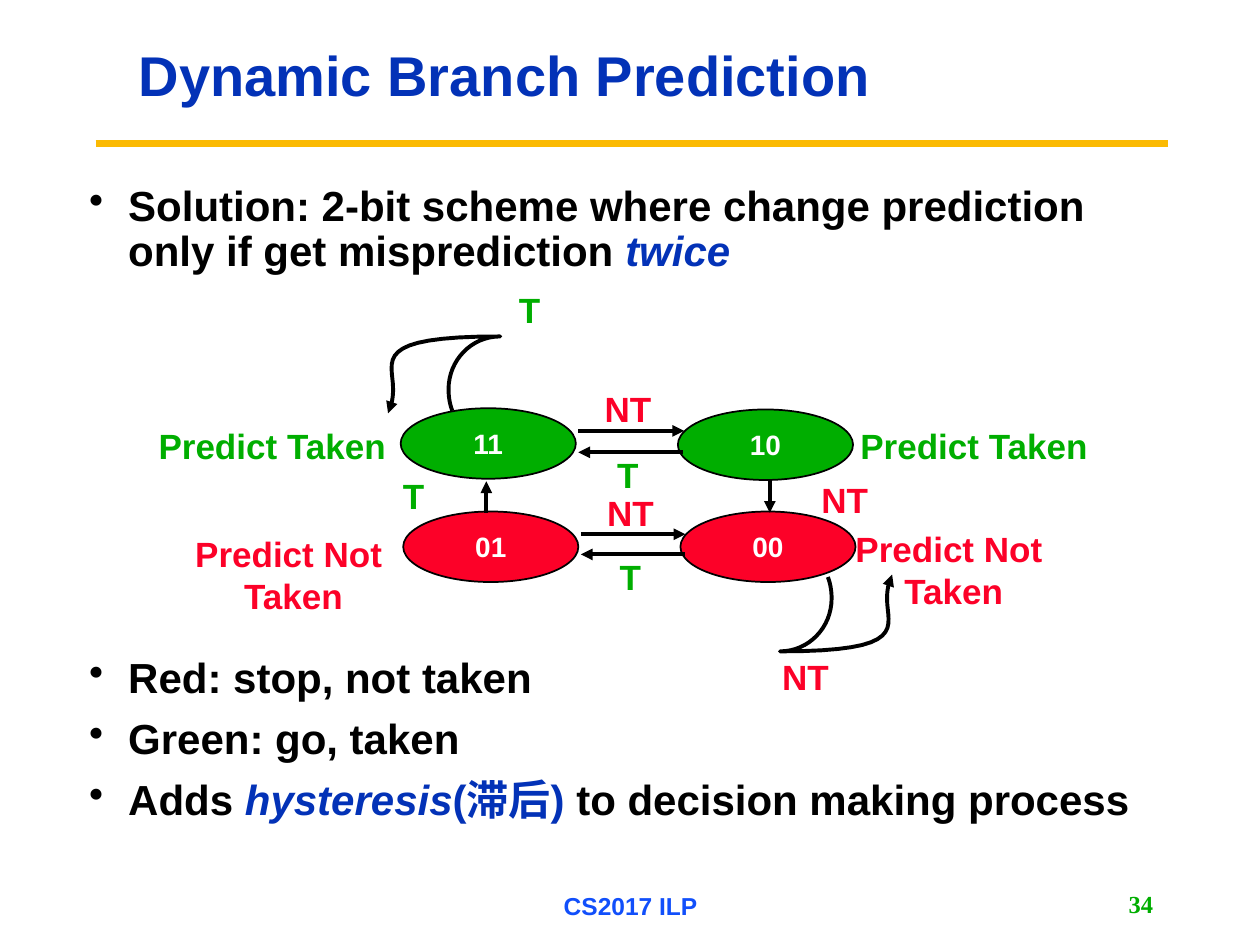
from lxml import etree
from pptx import Presentation, util as u
from pptx.dml.color import RGBColor
from pptx.enum import shapes, text
from pptx.oxml.ns import qn

BLUE = RGBColor(0x03, 0x32, 0xB7)
FOOTER_BLUE = RGBColor(0x11, 0x4F, 0xFB)
GREEN = RGBColor(0x00, 0xAE, 0x00)
RED = RGBColor(0xFC, 0x01, 0x28)
GOLD = RGBColor(0xFB, 0xBA, 0x03)
BLACK = RGBColor(0, 0, 0)
WHITE = RGBColor(0xFF, 0xFF, 0xFF)
LEFT, CENTER, RIGHT = text.PP_ALIGN.LEFT, text.PP_ALIGN.CENTER, text.PP_ALIGN.RIGHT
MIDDLE = text.MSO_ANCHOR.MIDDLE

presentation = Presentation()
presentation.slide_width, presentation.slide_height = u.Inches(10), u.Inches(7.5)
CELL = presentation.slide_width // 100
slide = presentation.slides.add_slide(presentation.slide_layouts[5])


def cells(*values):
    return [round(value * CELL) for value in values]


def write(shape, lines, size, color, align, font="Arial"):
    shape.text_frame.text = "\n".join(lines)
    for paragraph in shape.text_frame.paragraphs:
        paragraph.alignment = align
        paragraph.font.size = u.Pt(size)
        paragraph.font.name = font
        paragraph.font.bold = True
        paragraph.font.color.rgb = color


title = slide.shapes.title
title.left, title.top, title.width, title.height = cells(10, 0, 78.3, 12.5)
write(title, ["Dynamic Branch Prediction"], 32, BLUE, LEFT)
title.text_frame.vertical_anchor = MIDDLE
title.text_frame.paragraphs[0].line_spacing = 0.9

body = slide.shapes.add_textbox(*cells(6.1, 14.2, 86.4, 52.5))
body.text_frame.word_wrap = True
bullets = [
    (0, [("Solution: 2-bit scheme where change prediction only if get misprediction ", BLACK, False),
         ("twice", BLUE, True)]),
    (218, [("Red: stop, not taken", BLACK, False)]),
    (9, [("Green: go, taken", BLACK, False)]),
    (9, [("Adds ", BLACK, False), ("hysteresis", BLUE, True), ("(滞后)", BLUE, False),
         (" to decision making process", BLACK, False)]),
]
for index, (space, runs) in enumerate(bullets):
    paragraph = body.text_frame.add_paragraph() if index else body.text_frame.paragraphs[0]
    paragraph.line_spacing = 0.9
    paragraph.space_before = u.Pt(space)
    properties = paragraph._p.get_or_add_pPr()
    properties.set("marL", str(cells(3.1)[0]))
    properties.set("indent", str(cells(-3.1)[0]))
    etree.SubElement(properties, qn("a:buChar"), char="•")
    paragraph.font.size = u.Pt(24)
    paragraph.font.name = "Arial"
    paragraph.font.bold = True
    for words, color, italic in runs:
        run = paragraph.add_run()
        run.text = words
        run.font.color.rgb = color
        run.font.italic = italic

for place, words, color, align, font in [
    ((34.2, 70.3, 31.7, 3.1), "CS2017 ILP", FOOTER_BLUE, CENTER, "Arial"),
    ((71.7, 70.1, 20.8, 3.2), "34", GREEN, RIGHT, "Times New Roman"),
]:
    footer = slide.shapes.add_textbox(*cells(*place))
    footer.text_frame.vertical_anchor = MIDDLE
    footer.text_frame.word_wrap = True
    write(footer, [words], 14, color, align, font)

for left, top, width, lines, color in [
    (40.2, 22.4, 3.7, ["T"], GREEN),
    (31, 37.2, 3.7, ["T"], GREEN),
    (48, 35.5, 3.7, ["T"], GREEN),
    (48.2, 43.6, 3.7, ["T"], GREEN),
    (64.2, 37.5, 5.7, ["NT"], RED),
    (61.1, 51.5, 5.7, ["NT"], RED),
    (47, 30.3, 5.7, ["NT"], RED),
    (47.2, 38.5, 5.7, ["NT"], RED),
    (11.6, 33.2, 20.2, ["Predict Taken"], GREEN),
    (67.3, 33.2, 20.2, ["Predict Taken"], GREEN),
    (14.5, 41.8, 17.6, ["Predict Not ", "Taken"], RED),
    (66.9, 41.4, 17.6, ["Predict Not ", "Taken"], RED),
]:
    label = slide.shapes.add_textbox(*cells(left, top, width, 1 + 3.3 * len(lines)))
    label.text_frame.word_wrap = False
    write(label, lines, 20, color, CENTER if len(lines) > 1 else LEFT)

for left, top, name, color in [
    (31.8, 32.4, "11", GREEN), (53.8, 32.5, "10", GREEN),
    (32, 40.6, "01", RED), (54, 40.6, "00", RED),
]:
    state = slide.shapes.add_shape(shapes.MSO_SHAPE.OVAL, *cells(left, top, 13.9, 5.6))
    state.shadow.inherit = False
    state.fill.solid()
    state.fill.fore_color.rgb = color
    state.line.color.rgb = BLACK
    state.line.width = u.Pt(1)
    state.text_frame.word_wrap = False
    state.text_frame.vertical_anchor = MIDDLE
    write(state, [name], 16, WHITE, CENTER)

arrows = []
loop_curves = [
    [(35.9, 32.6), (35.7, 32.1), (35.6, 31.5), (35.6, 30.9)],
    [(35.6, 30.9), (35.6, 28.6), (37.4, 26.7), (39.7, 26.7)],
    [(39.7, 26.7), (29.4, 26.7), (31.2, 28.6), (31.2, 30.9)],
    [(31.2, 30.9), (31.2, 31.5), (31.1, 32.2), (30.8, 32.8)],
]
STEPS = 16
points = [loop_curves[0][0]]
for curve in loop_curves:
    for step in range(1, STEPS + 1):
        t = step / STEPS
        weights = ((1 - t) ** 3, 3 * t * (1 - t) ** 2, 3 * t * t * (1 - t), t ** 3)
        points.append(tuple(sum(w * p[axis] for w, p in zip(weights, curve)) for axis in (0, 1)))
turned = [(101.6 - x, 78.4 - y) for x, y in points]
for outline in (points, turned):
    builder = slide.shapes.build_freeform(*cells(*outline[0]))
    builder.add_line_segments([cells(*point) for point in outline[1:]], close=False)
    loop = builder.convert_to_shape()
    loop.shadow.inherit = False
    loop.fill.background()
    arrows.append(loop)

rule_line = (7.6, 11.4, 92.7, 11.4)
for ends in [
    rule_line,
    (45.9, 34.2, 54.3, 34.2), (54.2, 35.9, 45.9, 35.9),
    (46.1, 42.4, 54.4, 42.4), (54.4, 44, 46.1, 44),
    (38.6, 40.7, 38.6, 38.2), (61.1, 38.2, 61.1, 40.7),
]:
    connector = slide.shapes.add_connector(shapes.MSO_CONNECTOR.STRAIGHT, *cells(*ends))
    etree.SubElement(connector._element.spPr, qn("a:effectLst"))
    if ends == rule_line:
        connector.line.color.rgb = GOLD
        connector.line.width = u.Pt(3.75)
    else:
        arrows.append(connector)

for arrow in arrows:
    arrow.line.color.rgb = BLACK
    arrow.line.width = u.Pt(2.25)
    etree.SubElement(arrow.line._get_or_add_ln(), qn("a:tailEnd"), type="triangle")

presentation.save("out.pptx")
